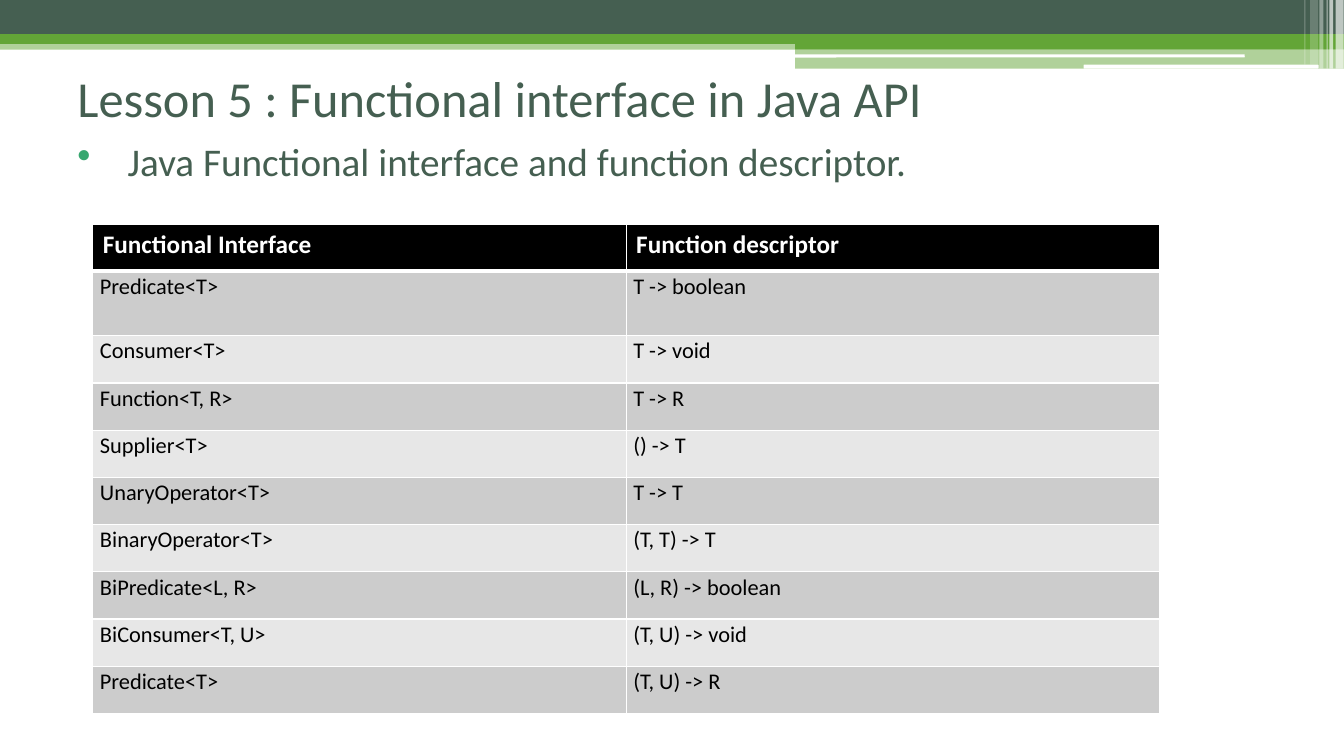
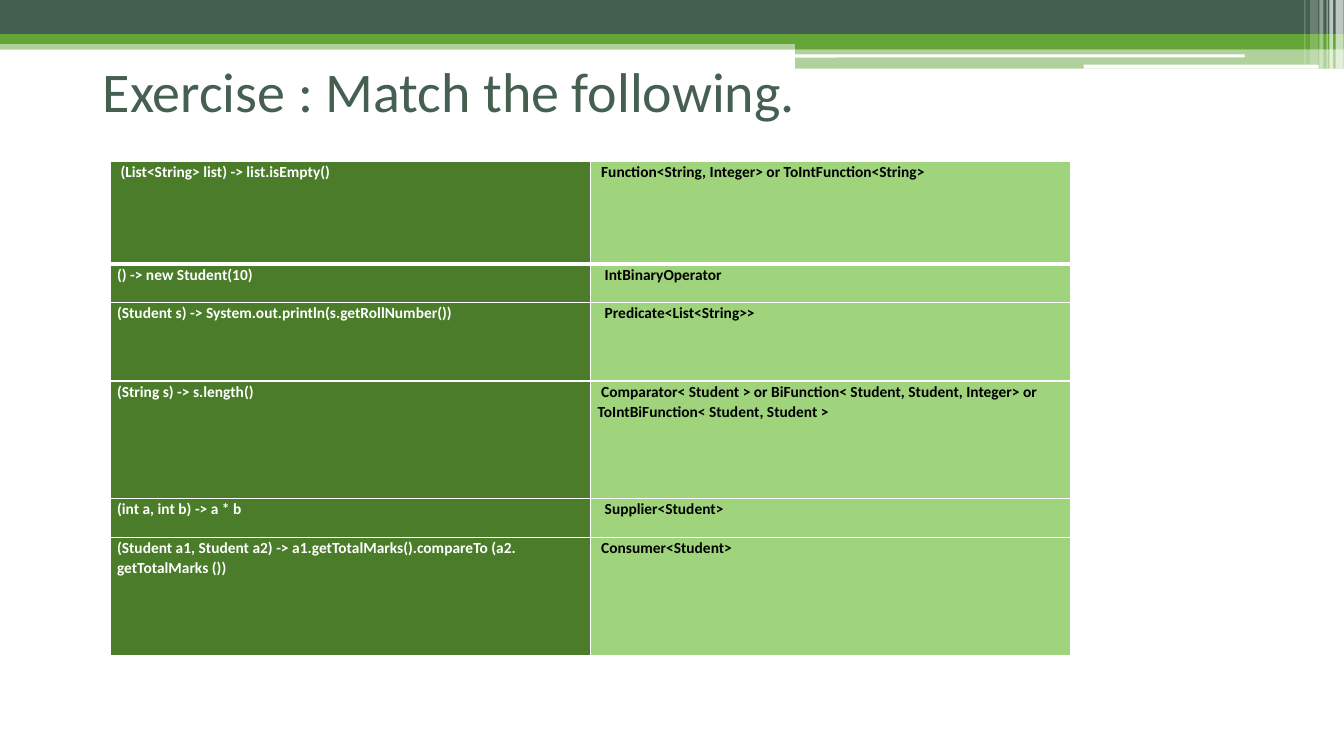
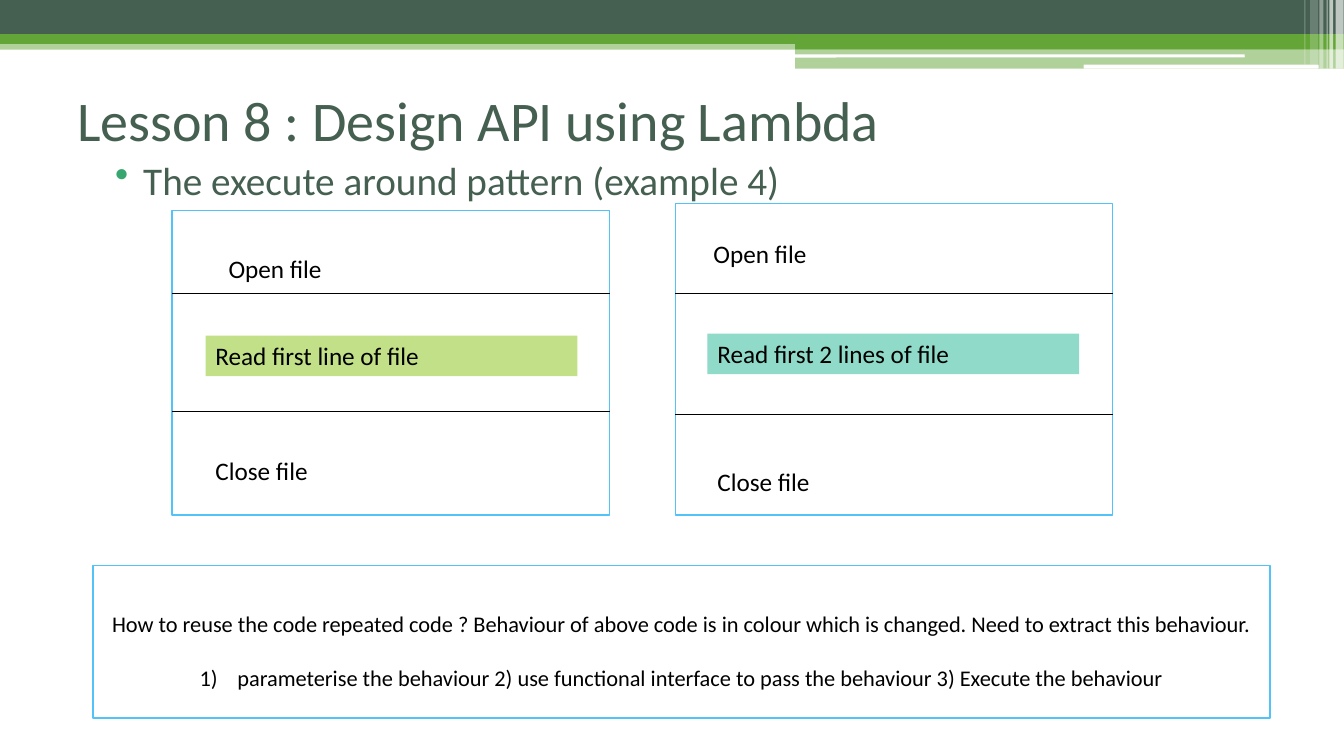
import pptx
import pptx.util
import pptx.dml.color
import pptx.enum.shapes
import pptx.enum.text
import pptx.oxml.ns
import lxml.etree

Cm, Pt = pptx.util.Cm, pptx.util.Pt
hue = pptx.dml.color.RGBColor.from_string
qn = pptx.oxml.ns.qn
KIND = pptx.enum.shapes.MSO_SHAPE
ANCHOR = pptx.enum.text.MSO_ANCHOR
ALIGN = pptx.enum.text.PP_ALIGN

# Shared look
FONT = "Calibri"
DARK, GREEN, DOT, EDGE = "455F51", "63A537", "37A76F", "51C3F9"
WHITE, BLACK = "FFFFFF", "000000"
WIDE = 33.87


def block(slide, box, fill, alpha=100, edge=None, kind=KIND.RECTANGLE):
    shape = slide.shapes.add_shape(kind, *map(Cm, box))
    shape.shadow.inherit = False
    shape.fill.solid()
    shape.fill.fore_color.rgb = hue(fill)
    if alpha < 100:
        tint = shape.element.spPr.find(qn("a:solidFill"))[0]
        lxml.etree.SubElement(tint, qn("a:alpha"), val=str(alpha * 1000))
    if edge:
        shape.line.color.rgb = hue(edge)
        shape.line.width = Pt(1)
    else:
        shape.line.fill.background()
    return shape


def write(frame, words, size, color=BLACK, bold=False, align=ALIGN.LEFT, anchor=ANCHOR.TOP):
    frame.word_wrap = True
    frame.vertical_anchor = anchor
    frame.text = words
    for par in frame.paragraphs:
        par.alignment = align
        for run in par.runs:
            run.font.name = FONT
            run.font.size = Pt(size)
            run.font.bold = bold
            run.font.color.rgb = hue(color)


deck = pptx.Presentation()
deck.slide_width, deck.slide_height = Cm(WIDE), Cm(19.05)
blank = deck.slide_layouts[6]
slides = [deck.slides.add_slide(blank) for _ in range(3)]

# Top bands, drawn once and moved to the layout
bands = [
    ((0, 1.02, WIDE, 0.23), GREEN, 50),
    ((0, 0, WIDE, 0.86), DARK, 100),
    ((0, 0.86, WIDE, 0.25), GREEN, 100),
    ((20.04, 0.99, 13.83, 0.25), GREEN, 100),
    ((20.04, 1.22, 13.83, 0.51), GREEN, 50),
]
bars = [(20.02, 1.37, 11.35, 0.08), (27.31, 1.63, 5.92, 0.1)]
strips = [
    (33.66, 0.2, 1.73, 65), (33.5, 0.1, 1.73, 65), (33.43, 0.03, 1.73, 60),
    (33.25, 0.1, 1.73, 40), (33.02, 0.2, 1.63, 20), (32.87, 0.03, 1.63, 30),
]
decor = [block(slides[0], *band) for band in bands]
decor += [block(slides[0], bar, WHITE, kind=KIND.ROUNDED_RECTANGLE) for bar in bars]
decor += [block(slides[0], (left, 0, width, high), WHITE, alpha)
          for left, width, high, alpha in strips]
for shape in decor:
    blank.shapes.element.append(shape.element)

# Titles
titles = [
    ("Lesson 5 : Functional interface in Java API", 36, (1.7, 1.6, 30.48, 1.73)),
    ("Exercise : Match the following.", 40, (2.34, 1.02, 29.21, 2.51)),
    ("Lesson 8 : Design API using Lambda", 40, (1.7, 1.96, 30.48, 2.06)),
]
for slide, (words, size, box) in zip(slides, titles):
    title = slide.shapes.add_textbox(*map(Cm, box))
    write(title.text_frame, words, size, DARK, anchor=ANCHOR.MIDDLE)

# Bullet lines
bullets = [
    (slides[0], "Java Functional interface and function descriptor.",
     (1.7, 3.33, 27.97, 14.96), 1.27, 1.27),
    (slides[2], "The execute around pattern (example 4)",
     (2.34, 3.81, 29.21, 10.34), 1.02, 0.71),
]
for slide, words, box, left, hang in bullets:
    body = slide.shapes.add_textbox(*map(Cm, box))
    write(body.text_frame, words, 28, DARK)
    par = body.text_frame.paragraphs[0]
    par.space_before = Pt(3)
    props = par._p.get_or_add_pPr()
    props.set("marL", str(Cm(left)))
    props.set("indent", str(-Cm(hang)))
    tint = lxml.etree.SubElement(props, qn("a:buClr"))
    lxml.etree.SubElement(tint, qn("a:srgbClr"), val=DOT)
    lxml.etree.SubElement(props, qn("a:buChar"), char="•")

# Tables: each cell has its words, size, colour, bold, fill and first-line gap
api = [
    ("Predicate<T>", "T -> boolean"),
    ("Consumer<T>", "T -> void"),
    ("Function<T, R>", "T -> R"),
    ("Supplier<T>", "() -> T"),
    ("UnaryOperator<T>", "T -> T"),
    ("BinaryOperator<T>", "(T, T) -> T"),
    ("BiPredicate<L, R>", "(L, R) -> boolean"),
    ("BiConsumer<T, U>", "(T, U) -> void"),
    ("Predicate<T>", "(T, U) -> R"),
]
heads = ("Functional Interface", "Function descriptor")
lookup = [[(words, 18, WHITE, True, BLACK, 0) for words in heads]]
for num, pair in enumerate(api):
    shade = ("CCCCCC", "E7E7E7")[num % 2]
    lookup.append([(words, 16, BLACK, False, shade, 0) for words in pair])

match = [
    ("(List<String> list) -> list.isEmpty()", 0.09,
     "Function<String, Integer> or ToIntFunction<String>", 0.09),
    ("() -> new Student(10)", 0, "IntBinaryOperator", 0.18),
    ("(Student s) -> System.out.println(s.getRollNumber())", 0,
     "Predicate<List<String>>", 0.18),
    ("(String s) -> s.length()", 0,
     "Comparator< Student > or BiFunction< Student, Student, Integer> or "
     "ToIntBiFunction< Student, Student >", 0.09),
    ("(int a, int b) -> a * b", 0, "Supplier<Student>", 0.18),
    ("(Student a1, Student a2) -> a1.getTotalMarks().compareTo (a2. getTotalMarks ())", 0,
     "Consumer<Student>", 0.09),
]
quiz = [[(code, 11, WHITE, True, "4A7C29", inset), (answer, 11, BLACK, True, "9FD47D", gap)]
        for code, inset, answer, gap in match]

tables = [
    (slides[0], (2.34, 5.66, 26.88), [1.17, 1.63] + [1.19] * 8, lookup),
    (slides[1], (2.77, 4.06, 24.22), [2.59, 0.97, 1.98, 2.97, 0.97, 2.97], quiz),
]
for slide, place, highs, rows in tables:
    grid = slide.shapes.add_table(len(rows), 2, *map(Cm, place), Cm(sum(highs))).table
    grid.first_row = grid.horz_banding = False
    for num, row in enumerate(rows):
        grid.rows[num].height = Cm(highs[num])
        for col, (words, size, color, bold, fill, gap) in enumerate(row):
            cell = grid.cell(num, col)
            write(cell.text_frame, words, size, color, bold)
            if size < 18:
                cell.margin_left = cell.margin_right = Cm(0.18)
                cell.margin_top = cell.margin_bottom = 0
                par = cell.text_frame.paragraphs[0]
                par.line_spacing = 1.07
                par._p.get_or_add_pPr().set("indent", str(Cm(gap)))
            thick = {"L": 1, "R": 1, "T": 3 if num == 1 else 1, "B": 3 if num == 0 else 1}
            for side, width in thick.items():
                line = lxml.etree.SubElement(cell._tc.get_or_add_tcPr(), qn("a:ln" + side),
                                             w=str(Pt(width)))
                paint = lxml.etree.SubElement(line, qn("a:solidFill"))
                lxml.etree.SubElement(paint, qn("a:srgbClr"), val=WHITE)
            cell.fill.solid()
            cell.fill.fore_color.rgb = hue(fill)

# File panels: frame, two dividers, three steps
last = slides[2]
panels = [
    ((4.34, 5.31, 11.02, 7.67), (7.39, 10.36), [
        ("Read first line of file", 5.18, 8.46, "C2E088"),
        ("Close file", 5.18, 11.35, None),
        ("Open file", 5.51, 6.25, None)]),
    ((17.02, 5.13, 11.02, 7.85), (7.39, 10.44), [
        ("Open file", 17.73, 5.89, None),
        ("Read first 2 lines of file", 17.83, 8.41, "8FDAC8"),
        ("Close file", 17.83, 11.63, None)]),
]
for box, cuts, steps in panels:
    block(last, box, WHITE, edge=EDGE)
    for top in cuts:
        rule = last.shapes.add_connector(
            pptx.enum.shapes.MSO_CONNECTOR.STRAIGHT,
            Cm(box[0]), Cm(top), Cm(box[0] + box[2]), Cm(top))
        rule.line.color.rgb = hue(BLACK)
        rule.line.width = Pt(0.5)
        lxml.etree.SubElement(rule.element.spPr, qn("a:effectLst"))
    for words, left, top, fill in steps:
        spot = (left, top, 9.37, 1.02)
        step = block(last, spot, fill) if fill else last.shapes.add_textbox(*map(Cm, spot))
        write(step.text_frame, words, 18)

# Closing note
note = block(last, (2.34, 14.25, 29.67, 3.84), WHITE, edge=EDGE).text_frame
write(note, "How to reuse the code repeated code ? Behaviour of above code is in colour "
      "which is changed. Need to extract this behaviour.\n"
      "parameterise the behaviour 2) use functional interface to pass the behaviour "
      "3) Execute the behaviour", 16, align=ALIGN.CENTER, anchor=ANCHOR.MIDDLE)
note.margin_top = Cm(0.58)
plan = note.paragraphs[1]
plan.space_before = Pt(19.5)
props = plan._p.get_or_add_pPr()
props.set("marL", str(Cm(0.95)))
props.set("indent", str(-Cm(0.95)))
lxml.etree.SubElement(props, qn("a:buAutoNum"), type="arabicParenR")

deck.save("out.pptx")
